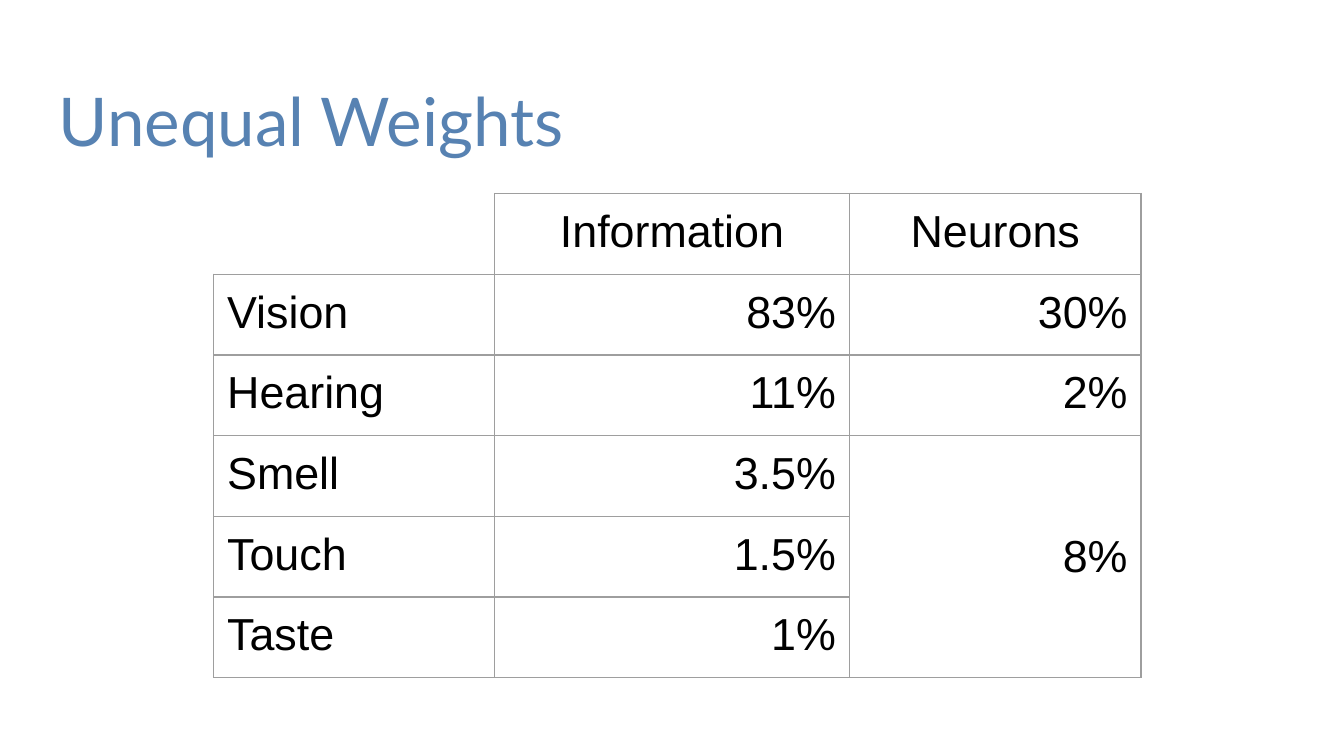
import dataclasses

import lxml.etree
import pptx
import pptx.dml.color
import pptx.enum.text
import pptx.oxml.ns
import pptx.util

Inches = pptx.util.Inches
Align = pptx.enum.text.PP_ALIGN
Anchor = pptx.enum.text.MSO_ANCHOR


@dataclasses.dataclass(frozen=True)
class Theme:
    title_color: str = "5782B2"
    text_color: str = "000000"
    border_color: str = "9E9E9E"
    title_font: str = "Lato"
    body_font: str = "Arial"
    title_size: int = 36
    body_size: int = 24
    border_width: float = 0.75
    inset: float = 0.1


THEME = Theme()
SLIDE_WIDTH = 10
COLUMN_WIDTHS = (2.09, 2.64, 2.17)
ROW_HEIGHT = 0.42
TABLE_FRAME = 3.28
SENSES = (
    ("", "Information", "Neurons"),
    ("Vision", "83%", "30%"),
    ("Hearing", "11%", "2%"),
    ("Smell", "3.5%", "8%"),
    ("Touch", "1.5%", ""),
    ("Taste", "1%", ""),
)


def write_text(frame, text, *, font=THEME.body_font, size=THEME.body_size,
               color=THEME.text_color, align=Align.LEFT):
    paragraph = frame.paragraphs[0]
    paragraph.alignment = align
    run = paragraph.add_run()
    run.text = text
    run.font.name = font
    run.font.size = pptx.util.Pt(size)
    run.font.color.rgb = pptx.dml.color.RGBColor.from_string(color)


def set_insets(target):
    for side in ("left", "top", "right", "bottom"):
        setattr(target, f"margin_{side}", Inches(THEME.inset))


def add_title(slide, text):
    box = slide.shapes.add_textbox(Inches(0.34), Inches(0.49), Inches(9.32), Inches(0.77))
    frame = box.text_frame
    frame.word_wrap = True
    set_insets(frame)
    write_text(frame, text, font=THEME.title_font, size=THEME.title_size,
               color=THEME.title_color)


def set_borders(cell, visible_sides):
    qn = pptx.oxml.ns.qn
    properties = cell._tc.get_or_add_tcPr()
    for index, side in enumerate("LRTB"):
        line = lxml.etree.Element(qn(f"a:ln{side}"))
        if side in visible_sides:
            line.set("w", str(pptx.util.Pt(THEME.border_width)))
            fill = lxml.etree.SubElement(line, qn("a:solidFill"))
            lxml.etree.SubElement(fill, qn("a:srgbClr"), val=THEME.border_color)
        else:
            lxml.etree.SubElement(line, qn("a:noFill"))
        properties.insert(index, line)


def cell_alignment(row, column):
    if row == 0:
        return Align.CENTER
    return Align.LEFT if column == 0 else Align.RIGHT


def add_table(slide, rows):
    frame = slide.shapes.add_table(
        len(rows), len(COLUMN_WIDTHS), Inches(1.59), Inches(1.44),
        Inches(TABLE_FRAME), Inches(TABLE_FRAME))
    table = frame.table
    table.first_row = False
    table.horz_banding = False
    for column, width in zip(table.columns, COLUMN_WIDTHS):
        column.width = Inches(width)
    for row_index, values in enumerate(rows):
        table.rows[row_index].height = Inches(ROW_HEIGHT)
        for column_index, value in enumerate(values):
            cell = table.cell(row_index, column_index)
            cell.fill.background()
            set_insets(cell)
            is_corner = row_index == column_index == 0
            set_borders(cell, "RB" if is_corner else "LRTB")
            if value:
                write_text(cell.text_frame, value,
                           align=cell_alignment(row_index, column_index))
    frame.width = frame.height = Inches(TABLE_FRAME)
    return table


def main():
    presentation = pptx.Presentation()
    presentation.slide_width = Inches(SLIDE_WIDTH)
    presentation.slide_height = Inches(SLIDE_WIDTH * 9 / 16)
    slide = presentation.slides.add_slide(presentation.slide_layouts[6])
    add_title(slide, "Unequal Weights")
    table = add_table(slide, SENSES)
    shared_neurons = table.cell(3, 2)
    shared_neurons.merge(table.cell(5, 2))
    shared_neurons.vertical_anchor = Anchor.MIDDLE
    presentation.save("out.pptx")


if __name__ == "__main__":
    main()
